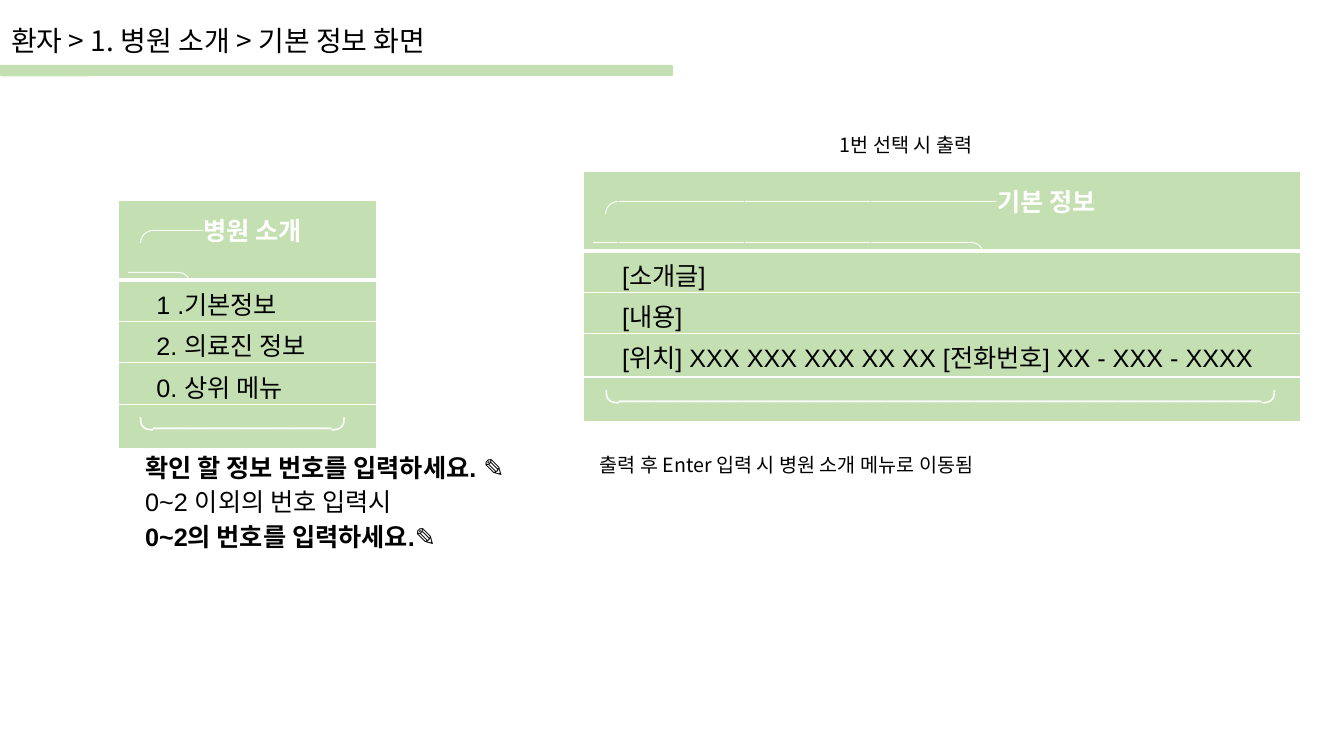
from dataclasses import dataclass

from lxml import etree
from pptx import Presentation
from pptx.dml.color import RGBColor
from pptx.enum.shapes import MSO_SHAPE
from pptx.enum.text import MSO_ANCHOR, MSO_AUTO_SIZE, PP_ALIGN
from pptx.oxml.ns import qn
from pptx.util import Inches, Pt

ROUND = MSO_SHAPE.ROUNDED_RECTANGLE
TOP = MSO_ANCHOR.TOP
GROW = MSO_AUTO_SIZE.SHAPE_TO_FIT_TEXT
LEFT = PP_ALIGN.LEFT


@dataclass(frozen=True)
class Theme:
    """Colours, fonts and type sizes of the slide."""
    green: RGBColor = RGBColor(0xC4, 0xE0, 0xB2)
    black: RGBColor = RGBColor(0, 0, 0)
    white: RGBColor = RGBColor(255, 255, 255)
    sans: str = "Arial"
    hangul: str = "Noto Sans CJK KR"
    title: int = 20
    body: int = 18
    note: int = 14


THEME = Theme()


def style(para, size, face, color=THEME.black, bold=None, space=None):
    """Format one paragraph, with the Korean font for East Asian text."""
    para.alignment = LEFT
    if space:
        para.line_spacing = space
    font = para.font
    font.size, font.bold = Pt(size), bold
    font.color.rgb = color
    font.name = face
    props = para._p.pPr.find(qn("a:defRPr"))
    etree.SubElement(props, qn("a:ea")).set("typeface", THEME.hangul)


def frame(shape, pad):
    """Prepare the text frame of a box that grows with its text."""
    text = shape.text_frame
    text.word_wrap, text.auto_size = True, GROW
    text.vertical_anchor = TOP
    text.margin_left = text.margin_right = Inches(0.1)
    text.margin_top = text.margin_bottom = Inches(pad)
    return text


def heading(slide, left, top, width):
    """Place the title and the green bar below it."""
    bar = slide.shapes.add_shape(
        ROUND, 0, Inches(top + 0.47), Inches(6.67), Inches(0.1))
    bar.shadow.inherit = False
    bar.fill.solid()
    bar.fill.fore_color.rgb = bar.line.color.rgb = THEME.green
    bar.line.width = Pt(1)
    title = slide.shapes.title
    title.left, title.top = Inches(left), Inches(top)
    title.width, title.height = Inches(width), Inches(0.44)
    text = frame(title, 0.05)
    text.text = "환자 > 1. 병원 소개 > 기본 정보 화면"
    style(text.paragraphs[0], THEME.title, THEME.hangul)


def edge(cell, widths):
    """Give a cell white borders: left, right, top, bottom."""
    props = cell._tc.get_or_add_tcPr()
    for spot, (side, width) in enumerate(zip("LRTB", widths)):
        line = etree.Element(qn(f"a:ln{side}"), w=str(Pt(width)))
        fill = etree.SubElement(line, qn("a:solidFill"))
        etree.SubElement(fill, qn("a:srgbClr"), val=str(THEME.white))
        props.insert(spot, line)


def menu(slide, left, top, width, heights, lines):
    """Place a one-column screen table with a header and a closing frame."""
    last = len(lines) - 1
    table = slide.shapes.add_table(
        len(lines), 1, Inches(left), Inches(top),
        Inches(width), Inches(sum(heights))).table
    table.horz_banding = False
    table.columns[0].width = Inches(width)
    for row, (line, height) in enumerate(zip(lines, heights)):
        table.rows[row].height = Inches(height)
        cell = table.cell(row, 0)
        cell.text = line
        cell.fill.solid()
        cell.fill.fore_color.rgb = THEME.green
        edge(cell, (1, 1, 3 if row == 1 else 1, 3 if row == 0 else 1))
        rim = row in (0, last)
        cell.margin_left = Inches(0.1 if rim else 0.38)
        style(cell.text_frame.paragraphs[0], THEME.body, THEME.sans,
              THEME.white if rim else THEME.black, row == 0,
              1.15 if rim else None)


def prompt(slide, left, top, width):
    """Place the input prompts under the menu."""
    box = slide.shapes.add_textbox(
        Inches(left), Inches(top), Inches(width), Inches(1.1))
    text = frame(box, 0.05)
    lines = (
        (("확인 할 정보 번호를 입력하세요. ", True), ("✎", False)),
        (("0~2 이외의 번호 입력시", False),),
        (("0~2의 번호를 입력하세요.", True), ("✎", True)),
    )
    for row, parts in enumerate(lines):
        para = text.add_paragraph() if row else text.paragraphs[0]
        for words, bold in parts:
            run = para.add_run()
            run.text, run.font.bold = words, bold
        style(para, THEME.body, THEME.sans, space=1.15)


def note(slide, left, top, width, words):
    """Place a small remark."""
    box = slide.shapes.add_textbox(
        Inches(left), Inches(top), Inches(width), Inches(0.44))
    text = frame(box, 0.1)
    text.text = words
    style(text.paragraphs[0], THEME.note, THEME.hangul)


def main():
    """Build the slide and save it."""
    deck = Presentation()
    deck.slide_width, deck.slide_height = Inches(13.33), Inches(7.5)
    slide = deck.slides.add_slide(deck.slide_layouts[5])
    heading(slide, 0.01, 0.18, 7.61)
    menu(slide, 1.17, 1.99, 2.57, (0.4, 0.41, 0.41, 0.41, 0.41), (
        "╭──병원 소개──╮", "1 .기본정보", "2. 의료진 정보",
        "0. 상위 메뉴", f"╰{'─' * 10}╯"))
    prompt(slide, 1.34, 4.39, 4.45)
    rule = "─" * 15
    menu(slide, 5.79, 1.7, 7.11, (0.75, 0.41, 0.41, 0.43, 0.41), (
        f"╭{rule}기본 정보{rule}╮", "[소개글]", "[내용]",
        "[위치] XXX XXX XXX XX XX [전화번호] XX - XXX - XXXX",
        f"╰{'─' * 36}╯"))
    note(slide, 8.23, 1.22, 1.79, "1번 선택 시 출력")
    note(slide, 5.85, 4.39, 9.15,
         "출력 후 Enter 입력 시 병원 소개 메뉴로 이동됨")
    deck.save("out.pptx")


if __name__ == "__main__":
    main()
